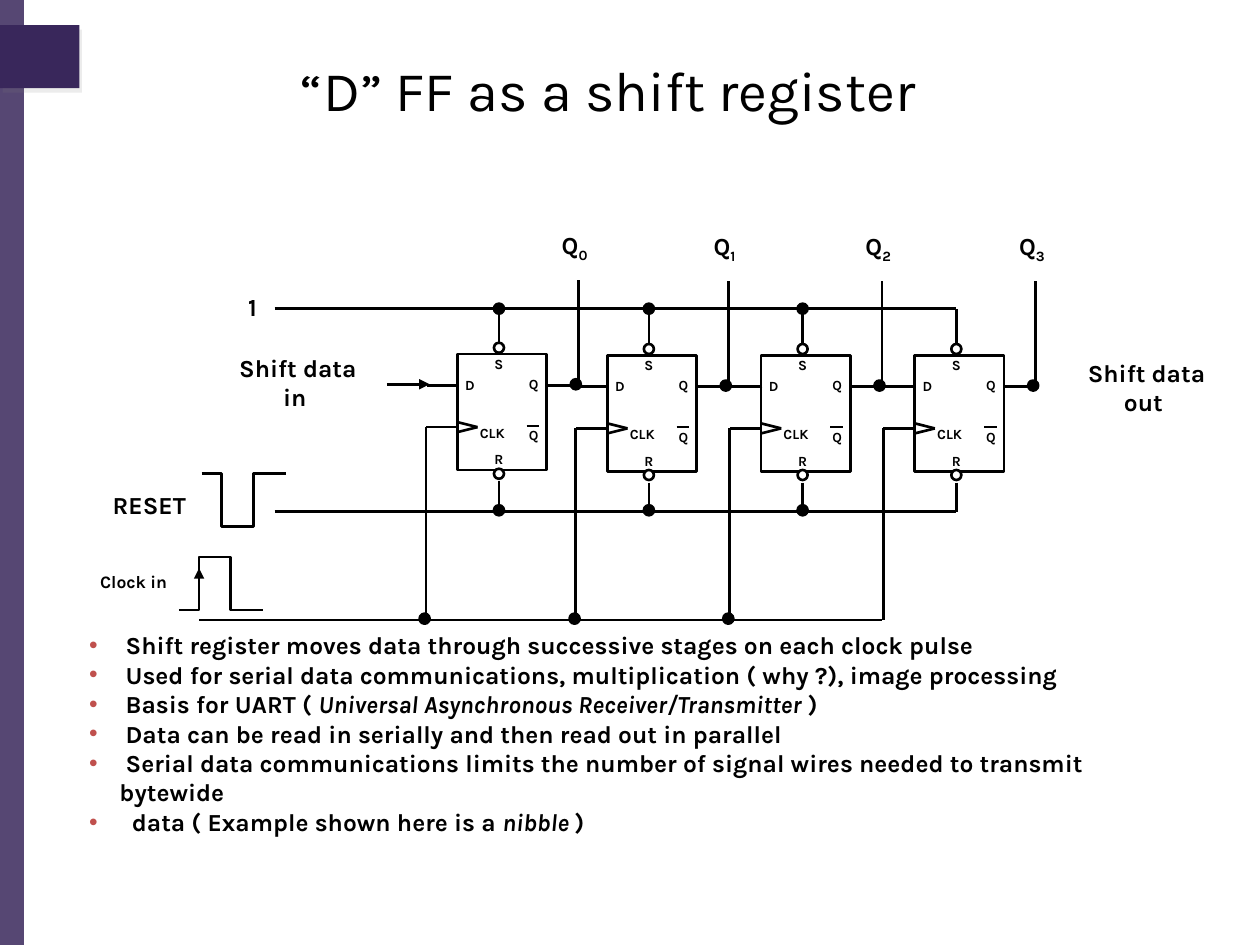
from lxml import etree
from pptx import Presentation, util as u
from pptx.dml.color import RGBColor
from pptx.enum import shapes, text
from pptx.oxml.ns import qn

PX = 9144  # 100 px to the inch
FONT = "Karla"
COLORS = {"ink": "000000", "paper": "FFFFFF", "purple": "39275B",
          "bullet": "C0504D", "shadow": "808080"}
RECT, OVAL = shapes.MSO_SHAPE.RECTANGLE, shapes.MSO_SHAPE.OVAL
CENTER, LEFT = text.PP_ALIGN.CENTER, text.PP_ALIGN.LEFT


def rgb(name):
    return RGBColor.from_string(COLORS[name])


def sub(parent, tag, **attrs):
    return etree.SubElement(parent, qn(tag), **{k: str(v) for k, v in attrs.items()})


def ink_line(sp):
    sp.line.color.rgb = rgb("ink")
    sp.line.width = u.Pt(1.5)


def shape(s, kind, x, y, w, h, fill, outline=True):
    sp = s.shapes.add_shape(kind, x * PX, y * PX, w * PX, h * PX)
    sp.shadow.inherit = False
    sp.fill.solid()
    sp.fill.fore_color.rgb = rgb(fill)
    if outline:
        ink_line(sp)
    else:
        sp.line.fill.background()
    return sp


def circle(s, x, y, fill="ink"):
    return shape(s, OVAL, x, y, 8, 8, fill)


def wire(s, x1, y1, x2, y2, arrow=False):
    c = s.shapes.add_connector(shapes.MSO_CONNECTOR.STRAIGHT,
                               x1 * PX, y1 * PX, x2 * PX, y2 * PX)
    ink_line(c)
    if arrow:
        sub(c.line._get_or_add_ln(), "a:tailEnd", type="triangle")
    sub(c._element.spPr, "a:effectLst")


def polyline(s, points):
    fb = s.shapes.build_freeform(*points[0], scale=PX)
    fb.add_line_segments(points[1:], close=False)
    sp = fb.convert_to_shape()
    sp.shadow.inherit = False
    sp.fill.background()
    ink_line(sp)


def add_run(p, words, size, bold=True, italic=False, baseline=0):
    r = p.add_run()
    r.text = words
    f = r.font
    f.name, f.size, f.bold, f.italic = FONT, u.Pt(size), bold, italic
    f.color.rgb = rgb("ink")
    if baseline:
        r._r.get_or_add_rPr().set("baseline", str(baseline))


def frame(s, x, y, w, h, wrap=True):
    tf = s.shapes.add_textbox(x * PX, y * PX, w * PX, h * PX).text_frame
    tf.word_wrap = wrap
    tf.vertical_anchor = text.MSO_ANCHOR.MIDDLE
    return tf


def label(s, words, x, y, w, h, size, subscript="", align=CENTER, wrap=False, bold=True):
    p = frame(s, x, y, w, h, wrap).paragraphs[0]
    p.alignment = align
    add_run(p, words, size, bold)
    if subscript:
        add_run(p, subscript, size, bold, baseline=-25000)


def decoration(s):
    # Side bar, slightly transparent
    bar = shape(s, RECT, 0, 0, 19, 750, "purple", outline=False)
    sub(bar._element.spPr.find(".//" + qn("a:srgbClr")), "a:alpha", val=85000)
    # Tab with a faint shadow
    tab = shape(s, RECT, 0, 20, 63, 50, "purple", outline=False)
    effects = tab._element.spPr.find(qn("a:effectLst"))
    shadow = sub(effects, "a:outerShdw", blurRad=0, dist=u.Pt(3), dir=60 * 60000)
    sub(sub(shadow, "a:srgbClr", val=COLORS["shadow"]), "a:alpha", val=15000)


def flip_flop(s, x, y, n, last):
    # Body, with the clock wedge and the inputs
    shape(s, RECT, x, y, 71, 92, "paper")
    wire(s, x + 1, y + 25, x - 24, y + 25)
    for dy in (54, 62):
        wire(s, x, y + dy, x + 16, y + 58)
    wire(s, x - 1, y + 58, x - 25, y + 58)
    # Set and reset, tied to their rails
    wire(s, x + 33, y - 9, x + 33, 245)
    wire(s, x + 33, y + 101, x + 33, 406)
    for dy in (-9, 91):
        circle(s, x + 29, y + dy, "paper")
    # Pin names
    for name, dx, dy, w, align in (("S", 19, -4, 28, CENTER), ("R", 19, 72, 28, CENTER),
                                   ("D", -4, 13, 28, CENTER), ("CLK", 8, 51, 43, LEFT),
                                   ("Q", 46, 12, 29, CENTER), ("Q", 46, 53, 29, CENTER)):
        label(s, name, x + dx, y + dy, w, 23, 8, align=align)
    wire(s, x + 55, y + 57, x + 65, y + 57)
    # Output tap
    polyline(s, [(x + 71, y + 25), (x + 96, y + 25), (x + 96, y - 59)])
    circle(s, x + 90, y + 20)
    label(s, "Q", x + 72, y - 102, 42, 33, 14, subscript=str(n))
    # Clock drop
    wire(s, x - 25, y + 58, x - 25, 492)
    # Junctions on the three rails
    if not last:
        for dx, top in ((29, 241), (29, 401), (-30, 487)):
            circle(s, x + dx, top)


def shift_register(s, x, y):
    # Set, reset and clock rails
    for x1, x2, dy in ((218, 759, 0), (218, 759, 161), (158, 700, 247)):
        wire(s, x + x1, y + dy, x + x2, y + dy)
    # Stages
    stages = ((363, 36), (482, 37), (604, 37), (726, 37))
    for n, (dx, dy) in enumerate(stages):
        flip_flop(s, x + dx, y + dy, n, n == len(stages) - 1)
    # Serial input and rail names
    wire(s, x + 307, y + 60, x + 341, y + 60, arrow=True)
    for words, dx, dy, w, h, size, wrap in (
            (" Shift data in", 166, 42, 136, 33, 14, True),
            (" Shift data out", 833, 46, 149, 33, 14, True),
            ("1", 185, -18, 31, 33, 14, False),
            ("RESET", 76, 139, 85, 33, 14, False),
            ("Clock in", 69, 203, 74, 27, 10, False)):
        label(s, words, x + dx, y + dy, w, h, size, wrap=wrap)
    # Clock pulse (high) and reset pulse (low)
    for left, rest, peak in ((142, 239, 197), (160, 131, 173)):
        steps = ((0, rest), (16, rest), (16, peak), (41, peak), (41, rest), (67, rest))
        polyline(s, [(x + left + dx, y + dy) for dx, dy in steps])
    wire(s, x + 158, y + 231, x + 158, y + 206, arrow=True)


def bullets(s, x, y, w, h):
    # Odd pieces of each item are italic
    items = (
        (" Shift register moves data through successive stages on each clock pulse",),
        (" Used for serial data communications, multiplication ( why ?), image processing",),
        (" Basis for UART ( ", "Universal Asynchronous Receiver/Transmitter ", ")"),
        (" Data can be read in serially and then read out in parallel",),
        (" Serial data communications limits the number of signal wires needed to transmit bytewide",),
        ("  data ( Example shown here is a ", "nibble ", ")"),
    )
    tf = frame(s, x, y, w, h)
    for i, pieces in enumerate(items):
        p = tf.add_paragraph() if i else tf.paragraphs[0]
        pPr = p._p.get_or_add_pPr()
        pPr.set("marL", str(24 * PX))
        pPr.set("indent", str(-24 * PX))
        sub(sub(pPr, "a:buClr"), "a:srgbClr", val=COLORS["bullet"])
        sub(pPr, "a:buFont", typeface="Arial")
        sub(pPr, "a:buChar", char="•")
        for k, piece in enumerate(pieces):
            add_run(p, piece, 14, italic=k % 2 == 1)


def main():
    prs = Presentation()
    prs.slide_width, prs.slide_height = 1000 * PX, 750 * PX
    s = prs.slides.add_slide(prs.slide_layouts[6])
    decoration(s)
    label(s, "“D” FF as a shift register", 33, 25, 900, 92, 32, wrap=True, bold=False)
    shift_register(s, 0, 245)
    bullets(s, 61, 507, 864, 150)
    prs.save("out.pptx")


if __name__ == "__main__":
    main()
